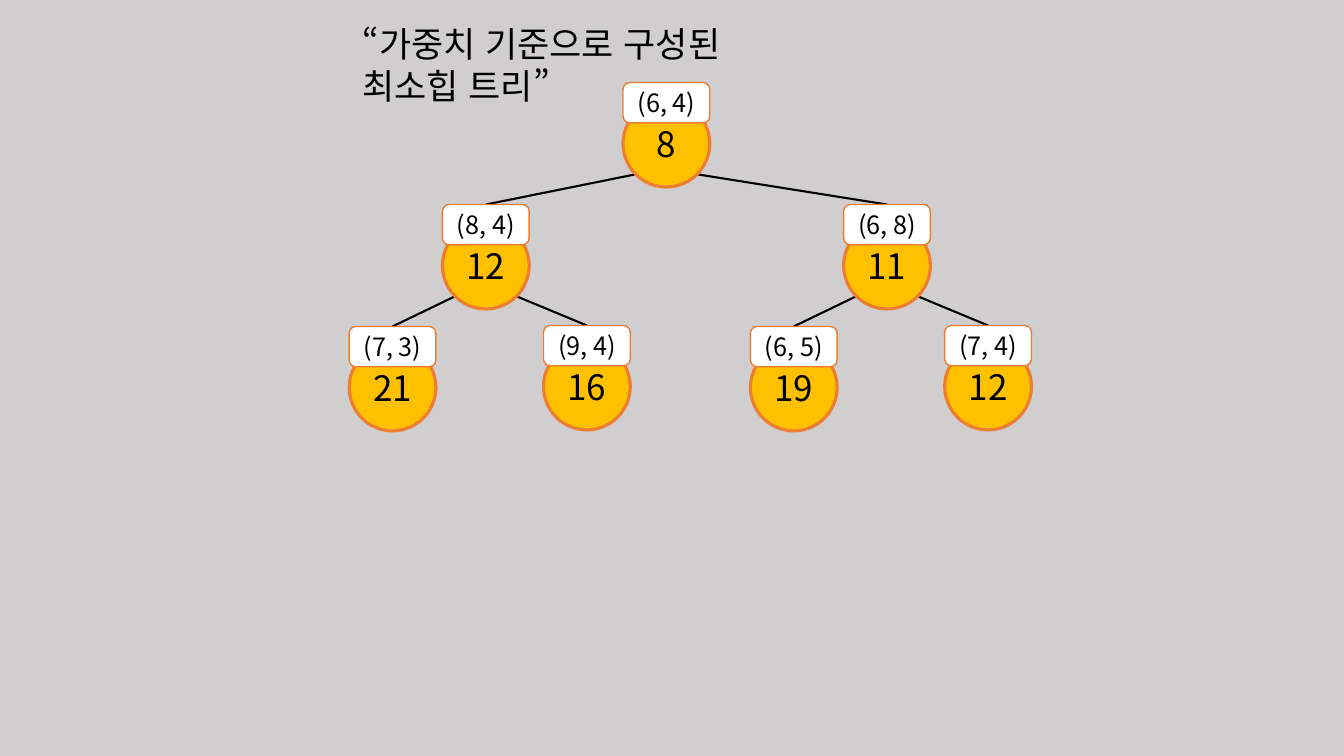
from dataclasses import dataclass
from math import sqrt
from typing import Optional

from lxml.etree import SubElement
from pptx import Presentation
from pptx.dml.color import RGBColor
from pptx.enum.shapes import MSO_CONNECTOR, MSO_SHAPE
from pptx.enum.text import MSO_ANCHOR, PP_ALIGN
from pptx.oxml.ns import qn
from pptx.util import Pt

COLORS = {
    "background": "D0CECE",
    "text": "000000",
    "edge": "000000",
    "circle": "FFC000",
    "weight": "FFFFFF",
    "outline": "ED7D31",
}
FONT = "Noto Sans CJK KR"

DIAMETER = 62
WEIGHT_HEIGHT = 28.8
CIRCLE_DROP = 12.6
ROOT_TOP = 59
LEVEL_GAP = 87.1
LEFT_LEAF, RIGHT_LEAF = -66.6, 72.2


@dataclass(frozen=True)
class Node:
    value: str
    weight: str
    left: float
    level: int
    parent: Optional["Node"] = None
    lift: float = 0

    @property
    def top(self) -> float:
        return ROOT_TOP + self.level * LEVEL_GAP - self.lift

    @property
    def center(self) -> float:
        return self.left + DIAMETER / 2


def color(key: str) -> RGBColor:
    return RGBColor.from_string(COLORS[key])


def style_text(frame, size: float) -> None:
    for run in frame.paragraphs[0].runs:
        run.font.size = Pt(size)
        run.font.name = FONT
        run.font.color.rgb = color("text")
        properties = run.font._element
        properties.set("lang", "ko-KR")
        SubElement(properties, qn("a:ea")).set("typeface", FONT)


def add_part(group, kind, node: Node, drop: float, height: float,
             fill: str, line_width: float, text: str, size: float):
    part = group.shapes.add_shape(kind, Pt(node.left), Pt(node.top + drop),
                                  Pt(DIAMETER), Pt(height))
    part.shadow.inherit = False
    part.fill.solid()
    part.fill.fore_color.rgb = color(fill)
    part.line.color.rgb = color("outline")
    part.line.width = Pt(line_width)
    frame = part.text_frame
    frame.margin_left = frame.margin_right = Pt(0)
    frame.margin_top = frame.margin_bottom = Pt(0)
    frame.vertical_anchor = MSO_ANCHOR.MIDDLE
    frame.text = text
    frame.paragraphs[0].alignment = PP_ALIGN.CENTER
    style_text(frame, size)
    return part


def add_node(slide, node: Node):
    group = slide.shapes.add_group_shape()
    add_part(group, MSO_SHAPE.OVAL, node, CIRCLE_DROP, DIAMETER,
             "circle", 2.25, node.value, 25)
    return add_part(group, MSO_SHAPE.ROUNDED_RECTANGLE, node, 0, WEIGHT_HEIGHT,
                    "weight", 1, node.weight, 18)


def add_edge(slide, parent: Node, child: Node):
    # From the parent's lower diagonal point to the child's weight label
    reach = DIAMETER / 2 / sqrt(2)
    side = 1 if child.left > parent.left else -1
    start_y = parent.top + CIRCLE_DROP + DIAMETER / 2 + reach
    edge = slide.shapes.add_connector(
        MSO_CONNECTOR.STRAIGHT, Pt(parent.center + side * reach), Pt(start_y),
        Pt(child.center), Pt(child.top))
    edge.line.color.rgb = color("edge")
    edge.line.width = Pt(1.5)
    SubElement(edge._element.spPr, qn("a:effectLst"))
    return edge


def add_title(slide) -> None:
    title = slide.shapes.add_textbox(Pt(252), Pt(12.2), Pt(342.7), Pt(37.4))
    title.text_frame.word_wrap = True
    title.text_frame.text = "“가중치 기준으로 구성된 최소힙 트리”"
    style_text(title.text_frame, 25)


def build_tree() -> list[Node]:
    root = Node("8", "(6, 4)", 445, 0)
    left = Node("12", "(8, 4)", 316, 1, root)
    right = Node("11", "(6, 8)", 602.6, 1, root)
    leaves = [
        Node(value, weight, parent.left + offset, 2, parent, lift)
        for value, weight, parent, offset, lift in (
            ("21", "(7, 3)", left, LEFT_LEAF, 0),
            ("16", "(9, 4)", left, RIGHT_LEAF, 0.7),
            ("19", "(6, 5)", right, LEFT_LEAF, 0),
            ("12", "(7, 4)", right, RIGHT_LEAF, 0.7),
        )
    ]
    return [root, left, right, *leaves]


def main() -> None:
    presentation = Presentation()
    presentation.slide_width, presentation.slide_height = Pt(960), Pt(540)
    slide = presentation.slides.add_slide(presentation.slide_layouts[6])
    slide.background.fill.solid()
    slide.background.fill.fore_color.rgb = color("background")

    add_title(slide)

    # Edges lie behind the nodes and are joined once the labels exist
    tree = build_tree()
    edges = {node: add_edge(slide, node.parent, node)
             for node in tree if node.parent}
    for node in tree:
        weight_label = add_node(slide, node)
        if node in edges:
            edges[node].end_connect(weight_label, 0)

    presentation.save("out.pptx")


if __name__ == "__main__":
    main()
